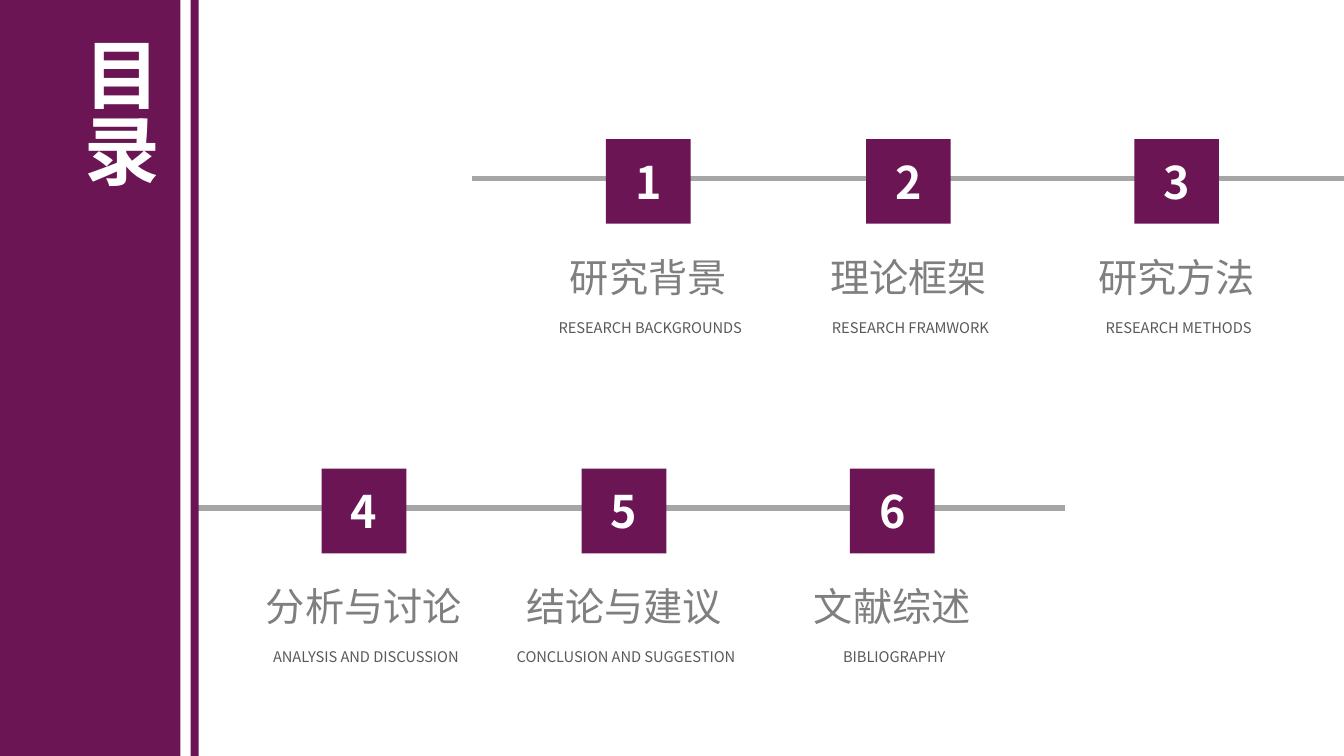
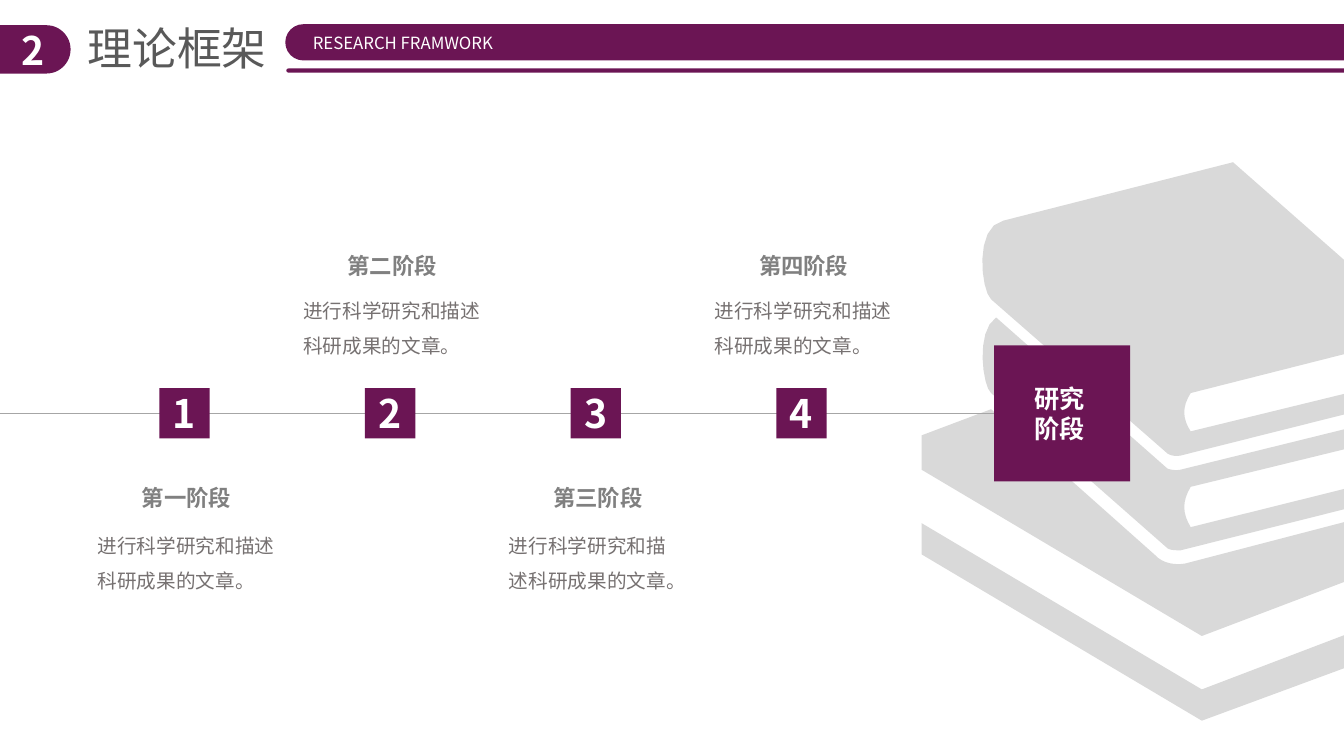
"""Build a contents slide and a research stages slide."""
import dataclasses

import lxml.etree
import pptx
import pptx.dml.color
import pptx.enum.shapes
import pptx.enum.text
import pptx.oxml.ns
import pptx.util

Inches = pptx.util.Inches
ALIGN = pptx.enum.text.PP_ALIGN
ANCHOR = pptx.enum.text.MSO_ANCHOR
SHAPE = pptx.enum.shapes.MSO_SHAPE


@dataclasses.dataclass(frozen=True)
class Theme:
    """Shared colours, type sizes and font."""
    font: str = "Noto Sans CJK SC"
    plum: str = "6B1554"
    white: str = "FFFFFF"
    rule: str = "A6A6A6"
    topic: str = "7F7F7F"
    dark: str = "595959"
    stage: str = "808080"
    body: str = "767171"
    books: str = "D9D9D9"
    title_size: float = 54
    number_size: float = 32
    heading_size: float = 32
    topic_size: float = 28
    small_number_size: float = 28
    goal_size: float = 18
    stage_size: float = 16
    body_size: float = 14
    banner_size: float = 12
    caption_size: float = 10.5


THEME = Theme()
WIDTH, HEIGHT = 13.33, 7.5

CONTENTS_TITLE = "目录"
TOPIC_ROWS = [
    {"left": 6.01, "top": 1.38, "rule": (4.68, WIDTH), "topics": [
        ("1", "研究背景", "RESEARCH BACKGROUNDS"),
        ("2", "理论框架", "RESEARCH FRAMWORK"),
        ("3", "研究方法", "RESEARCH METHODS")]},
    {"left": 3.19, "top": 4.65, "rule": (1.9, 10.56), "topics": [
        ("4", "分析与讨论", "ANALYSIS AND DISCUSSION"),
        ("5", "结论与建议", "CONCLUSION AND SUGGESTION"),
        ("6", "文献综述", "BIBLIOGRAPHY")]},
]
TOPIC_COLUMNS = (0, 2.58, 5.24)
TOPIC_SQUARE = 0.84

SECTION = ("2", "理论框架", "RESEARCH FRAMWORK")
STAGE_TEXT = "进行科学研究和描述科研成果的文章。"
STAGES = [("第一阶段", 2.0), ("第二阶段", 2.04), ("第三阶段", 1.93), ("第四阶段", 2.06)]
STAGE_LEFT, STAGE_STEP, STAGE_SQUARE = 1.58, 2.04, 0.5
AXIS = 4.1
STAGE_TOPS = ((4.75, 5.13), (2.45, 2.8))
GOAL = "研究阶段"
GOAL_SQUARE = 1.35

BOOK_OUTLINES = [
    [(13.98, 4.1), (13.98, 4.3), (11.81, 4.83), (11.72, 4.98, 11.73, 5.1, 11.81, 5.23),
     (13.98, 4.69), (13.98, 4.89), (11.71, 5.46), (11.66, 5.46, 11.61, 5.46, 11.58, 5.44),
     (9.83, 3.9), (9.75, 3.84, 9.67, 3.29, 9.88, 3.15), (11.58, 4.65),
     (11.61, 4.66, 11.66, 4.67, 11.71, 4.66)],
    [(9.95, 2.19), (12.23, 1.61), (13.98, 3.15), (13.98, 3.35), (11.81, 3.9),
     (11.72, 4.04, 11.73, 4.16, 11.81, 4.28), (13.98, 3.75), (13.98, 3.95), (11.71, 4.52),
     (11.66, 4.53, 11.61, 4.52, 11.58, 4.5), (9.83, 2.97),
     (9.73, 2.88, 9.66, 2.25, 9.95, 2.19)],
    [(11.92, 6.84), (9.14, 5.19), (9.14, 5.5), (11.92, 7.15), (13.52, 6.56), (13.52, 6.23)],
    [(14.33, 5.78), (13.66, 6.02), (13.66, 7.01), (13.99, 6.61), (14.33, 6.76),
     (14.33, 6.26), (14.62, 6.15), (14.76, 6.09, 14.81, 6.04, 14.81, 5.91), (14.81, 5.13),
     (14.81, 5.07, 14.78, 5.02, 14.73, 4.99), (14.1, 4.62), (14.1, 4.98), (11.76, 5.59),
     (11.66, 5.61, 11.53, 5.59, 11.46, 5.51), (9.83, 4.06), (9.14, 4.32), (9.14, 4.66),
     (11.92, 6.31), (14.5, 5.33), (14.5, 5.85), (14.33, 5.92)],
]


def colour(value):
    """Turn a hexadecimal string into a colour."""
    return pptx.dml.color.RGBColor.from_string(value)


def write(shape, text, size, ink, bold=False, align=ALIGN.LEFT, spacing=None):
    """Put one styled run into a shape."""
    paragraph = shape.text_frame.paragraphs[0]
    paragraph.alignment = align
    if spacing:
        paragraph.line_spacing = spacing
    run = paragraph.add_run()
    run.text = text
    run.font.size = pptx.util.Pt(size)
    run.font.bold = bold
    run.font.color.rgb = colour(ink)
    run.font.name = THEME.font
    properties = run.font._element if hasattr(run.font, "_element") else run._r.get_or_add_rPr()
    lxml.etree.SubElement(properties, pptx.oxml.ns.qn("a:ea"), typeface=THEME.font)


def add_text(slide, box, text, size, ink, wrap=False, **style):
    """Add a text box and return it."""
    shape = slide.shapes.add_textbox(*map(Inches, box))
    shape.text_frame.word_wrap = wrap
    write(shape, text, size, ink, **style)
    return shape


def paint(shape, fill):
    """Give a shape a flat fill without line or shadow."""
    shape.shadow.inherit = False
    shape.fill.solid()
    shape.fill.fore_color.rgb = colour(fill)
    shape.line.fill.background()


def add_block(slide, box, kind=SHAPE.RECTANGLE, inset=(0, 0)):
    """Add a plum block ready for centred text."""
    shape = slide.shapes.add_shape(kind, *map(Inches, box))
    paint(shape, THEME.plum)
    if kind == SHAPE.ROUNDED_RECTANGLE:
        shape.adjustments[0] = 0.5
    frame = shape.text_frame
    frame.word_wrap = True
    frame.vertical_anchor = ANCHOR.MIDDLE
    frame.margin_left, frame.margin_right = map(Inches, inset)
    frame.margin_top = frame.margin_bottom = 0
    return shape


def add_number(slide, left, top, side, number, size):
    """Add a numbered square."""
    square = add_block(slide, (left, top, side, side))
    write(square, number, size, THEME.white, bold=True, align=ALIGN.CENTER)


def add_rule(slide, left, right, y, weight):
    """Add a horizontal grey line."""
    line = slide.shapes.add_connector(
        pptx.enum.shapes.MSO_CONNECTOR.STRAIGHT, *map(Inches, (left, y, right, y)))
    line.line.color.rgb = colour(THEME.rule)
    line.line.width = pptx.util.Pt(weight)
    lxml.etree.SubElement(line.element.spPr, pptx.oxml.ns.qn("a:effectLst"))


def trace(outline, steps=8):
    """Turn corners and cubic curves into a list of points."""
    points = []
    for part in outline:
        if len(part) == 2:
            points.append(part)
            continue
        controls = [points[-1], part[:2], part[2:4], part[4:]]
        for step in range(1, steps + 1):
            t = step / steps
            weights = ((1 - t) ** 3, 3 * t * (1 - t) ** 2, 3 * t * t * (1 - t), t ** 3)
            points.append(tuple(
                sum(weight * control[axis] for weight, control in zip(weights, controls))
                for axis in (0, 1)))
    return [(Inches(x), Inches(y)) for x, y in points]


def add_books(slide):
    """Draw the stack of books."""
    outlines = [trace(outline) for outline in BOOK_OUTLINES]
    builder = slide.shapes.build_freeform(*outlines[0][0])
    for index, points in enumerate(outlines):
        if index:
            builder.move_to(*points[0])
        builder.add_line_segments(points[1:], close=True)
    paint(builder.convert_to_shape(), THEME.books)


def build_contents(slide):
    """Lay out the contents slide."""
    for row in TOPIC_ROWS:
        top = row["top"]
        add_rule(slide, *row["rule"], top + 0.39, 4)
        for offset, (number, topic, caption) in zip(TOPIC_COLUMNS, row["topics"]):
            left = row["left"] + offset
            centre = left + TOPIC_SQUARE / 2
            add_number(slide, left, top, TOPIC_SQUARE, number, THEME.number_size)
            topic_width = 0.39 * len(topic) + 0.21
            caption_width = 0.1 * len(caption) + 0.1
            add_text(slide, (centre + 0.01 - topic_width / 2, top + 1.08, topic_width, 0.57),
                     topic, THEME.topic_size, THEME.topic)
            add_text(slide, (centre + 0.02 - caption_width / 2, top + 1.73, caption_width, 0.28),
                     caption, THEME.caption_size, THEME.dark, align=ALIGN.CENTER)
    for left, width in ((0, 1.79), (1.89, 0.08)):
        add_block(slide, (left, 0, width, HEIGHT))
    title = add_text(slide, (0.58, 0.27, 1.11, 1.92), CONTENTS_TITLE, THEME.title_size,
                     THEME.white, wrap=True, bold=True, align=ALIGN.JUSTIFY)
    title.element.txBody.bodyPr.set("vert", "eaVert")


def add_header(slide):
    """Add the section number, heading and banner."""
    number, heading, caption = SECTION
    rounded = SHAPE.ROUNDED_RECTANGLE
    pill = add_block(slide, (-0.28, 0.25, 0.98, 0.48), rounded, (0.23, 0))
    write(pill, number, THEME.small_number_size, THEME.white, bold=True, align=ALIGN.CENTER)
    add_text(slide, (0.77, 0.16, 2, 0.64), heading, THEME.heading_size, THEME.dark)
    banner = add_block(slide, (2.83, 0.24, 11.03, 0.36), rounded, (0.22, 0))
    write(banner, caption, THEME.banner_size, THEME.white)
    add_block(slide, (2.84, 0.68, 11.03, 0.04), rounded)


def build_stages(slide):
    """Lay out the research stages slide."""
    add_books(slide)
    add_header(slide)
    goal_left = 9.86
    add_rule(slide, -0.14, goal_left, AXIS, 0.5)
    for index, (stage, text_width) in enumerate(STAGES):
        left = STAGE_LEFT + index * STAGE_STEP
        stage_top, text_top = STAGE_TOPS[index % 2]
        add_text(slide, (left - 0.27, stage_top, 1.1, 0.37), stage,
                 THEME.stage_size, THEME.stage, bold=True)
        add_text(slide, (left - 0.71, text_top, text_width, 0.81), STAGE_TEXT,
                 THEME.body_size, THEME.body, wrap=True, spacing=1.5)
        add_number(slide, left, AXIS - STAGE_SQUARE / 2, STAGE_SQUARE, str(index + 1),
                   THEME.small_number_size)
    goal = add_block(slide, (goal_left, AXIS - GOAL_SQUARE / 2, GOAL_SQUARE, GOAL_SQUARE),
                     inset=(0.4, 0.4))
    write(goal, GOAL, THEME.goal_size, THEME.white, bold=True)


def main():
    """Build and save the presentation."""
    presentation = pptx.Presentation()
    presentation.slide_width = Inches(WIDTH)
    presentation.slide_height = Inches(HEIGHT)
    for build in (build_contents, build_stages):
        build(presentation.slides.add_slide(presentation.slide_layouts[6]))
    presentation.save("out.pptx")


if __name__ == "__main__":
    main()
